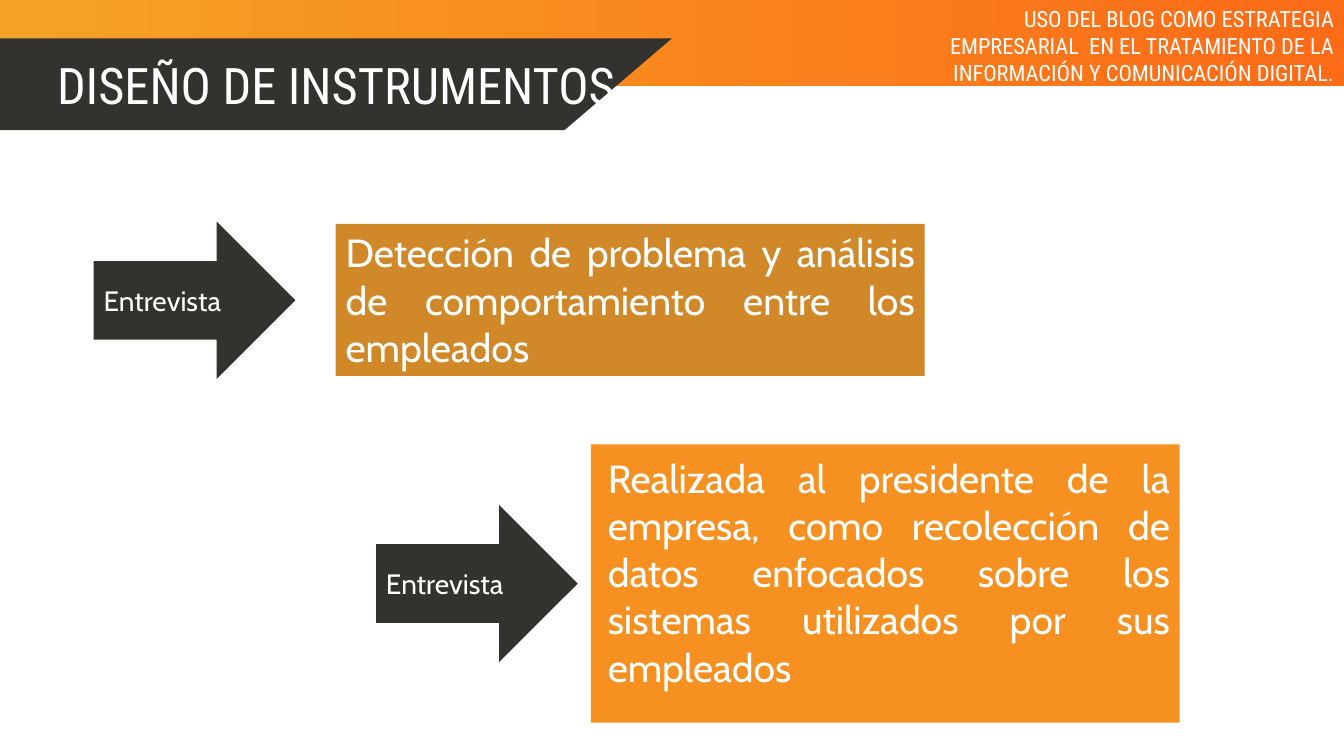
from pptx import Presentation
from pptx.dml.color import RGBColor
from pptx.enum.shapes import MSO_SHAPE as Shape
from pptx.enum.text import MSO_ANCHOR as Anchor, PP_ALIGN as Align
from pptx.util import Inches, Pt

# Content
TITLE = "DISEÑO DE INSTRUMENTOS"
TOPIC = ("USO DEL BLOG COMO ESTRATEGIA EMPRESARIAL  EN EL TRATAMIENTO DE LA "
         "INFORMACIÓN Y COMUNICACIÓN DIGITAL.")
# label, arrow corner, description, box corner, box height, fill, inset, indent
INTERVIEWS = [
    ("Entrevista", (0.93, 2.2),
     "Detección de problema y análisis de comportamiento entre los empleados",
     (3.33, 2.22), 1.51, "D08829", 0.05, 0),
    ("Entrevista", (3.73, 5.01),
     "Realizada al presidente de la empresa, como recolección de datos "
     "enfocados sobre los sistemas utilizados por sus empleados",
     (5.86, 4.41), 2.76, "F69020", 0.1, 0.07),
]

# Style and measures, in inches
WIDTH, HEIGHT = 13.33, 7.5
DARK, WHITE = "33322F", "FFFFFF"
BAND_COLORS = ("F6A226", "FC6B17")
HEADING_FONT, BODY_FONT = "Roboto Condensed", "Cabin"
BAND_HEIGHT = 0.85
TITLE_TOP, TITLE_BOTTOM = 0.38, 1.29
TITLE_RIGHT, TITLE_FOOT = WIDTH / 2, 5.6
TOPIC_WIDTH, TOPIC_HEIGHT = 4.29, 0.91
ARROW_SIZE = (2, 1.56)
BOX_WIDTH = 5.84


def color(value):
    return RGBColor.from_string(value)


def paint(shape, fill):
    shape.shadow.inherit = False
    shape.line.fill.background()
    shape.fill.solid()
    shape.fill.fore_color.rgb = color(fill)


def write(shape, text, font, size, align, anchor=Anchor.TOP, inset=0.05):
    frame = shape.text_frame
    frame.text = text
    frame.word_wrap = True
    frame.vertical_anchor = anchor
    frame.margin_left = frame.margin_right = Inches(0.1)
    frame.margin_top = frame.margin_bottom = Inches(inset)
    paragraph = frame.paragraphs[0]
    paragraph.alignment = align
    for run in paragraph.runs:
        run.font.name = font
        run.font.size = Pt(size)
        run.font.color.rgb = color(WHITE)
    return paragraph


def add_block(slide, kind, corner, size, fill):
    block = slide.shapes.add_shape(kind, *map(Inches, corner + size))
    paint(block, fill)
    return block


def add_header(slide):
    # Gradient band
    band = add_block(slide, Shape.RECTANGLE, (0, 0), (WIDTH, BAND_HEIGHT), DARK)
    band.fill.gradient()
    band.fill.gradient_angle = 0
    for stop, value in zip(band.fill.gradient_stops, BAND_COLORS):
        stop.color.rgb = color(value)

    # Slanted title banner
    outline = slide.shapes.build_freeform(0, Inches(TITLE_TOP))
    corners = [(TITLE_RIGHT, TITLE_TOP), (TITLE_FOOT, TITLE_BOTTOM), (0, TITLE_BOTTOM)]
    outline.add_line_segments([(Inches(x), Inches(y)) for x, y in corners])
    banner = outline.convert_to_shape()
    paint(banner, DARK)
    write(banner, TITLE, HEADING_FONT, 36, Align.CENTER, Anchor.MIDDLE)

    # Topic at the right edge
    topic = slide.shapes.add_textbox(Inches(WIDTH - TOPIC_WIDTH), 0,
                                     Inches(TOPIC_WIDTH), Inches(TOPIC_HEIGHT))
    write(topic, TOPIC, HEADING_FONT, 16, Align.RIGHT)


def add_interview(slide, label, arrow_at, description, box_at, box_height,
                  fill, inset, indent):
    box = add_block(slide, Shape.RECTANGLE, box_at, (BOX_WIDTH, box_height), fill)
    paragraph = write(box, description, BODY_FONT, 28, Align.JUSTIFY, inset=inset)
    paragraph.space_before = Pt(6)
    properties = paragraph._p.get_or_add_pPr()
    properties.set("marL", str(Inches(indent)))
    properties.set("indent", "0")

    arrow = add_block(slide, Shape.RIGHT_ARROW, arrow_at, ARROW_SIZE, DARK)
    write(arrow, label, BODY_FONT, 20, Align.LEFT, Anchor.MIDDLE)


def main():
    deck = Presentation()
    deck.slide_width, deck.slide_height = Inches(WIDTH), Inches(HEIGHT)
    slide = deck.slides.add_slide(deck.slide_layouts[6])
    add_header(slide)
    for interview in INTERVIEWS:
        add_interview(slide, *interview)
    deck.save("out.pptx")


if __name__ == "__main__":
    main()
